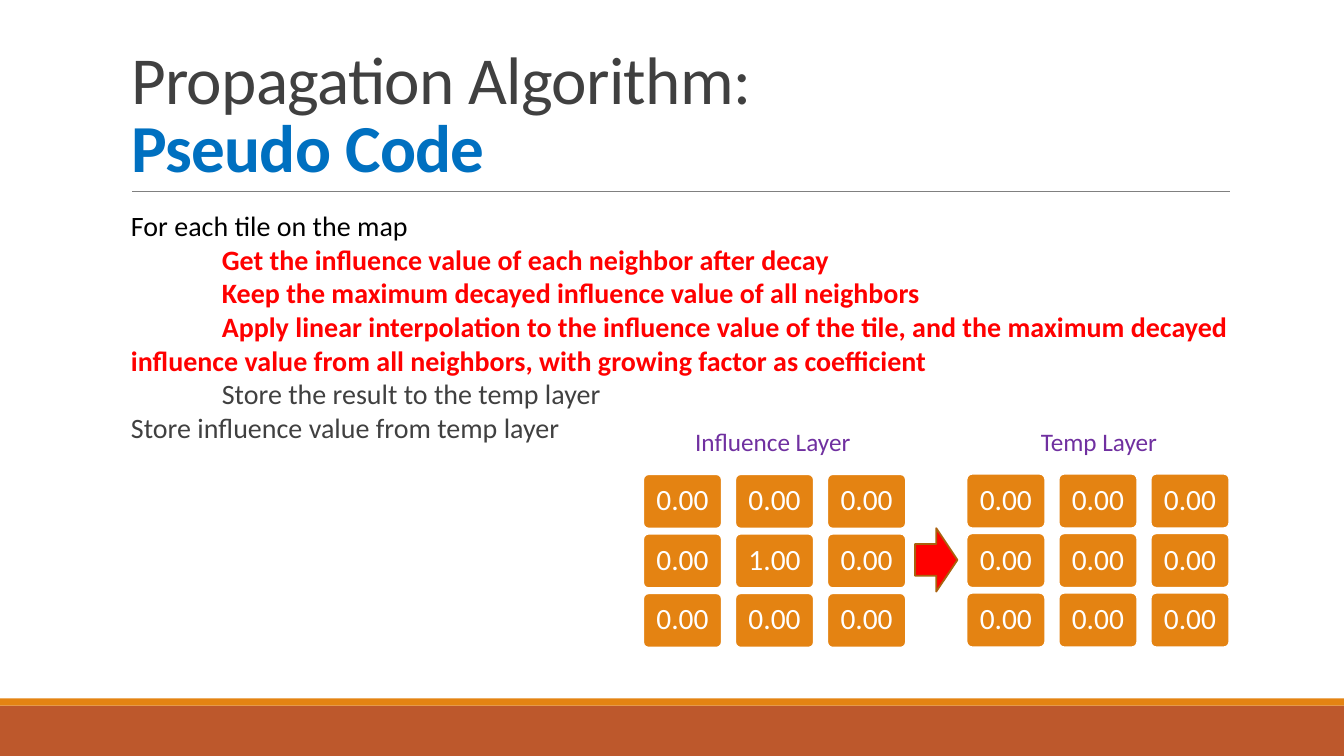
from lxml.etree import SubElement
from pptx import Presentation
from pptx.dml.color import RGBColor
from pptx.enum.shapes import MSO_CONNECTOR as Connector, MSO_SHAPE as Shape
from pptx.enum.text import MSO_ANCHOR as Anchor, MSO_AUTO_SIZE as AutoSize, PP_ALIGN as Align
from pptx.oxml.ns import qn
from pptx.util import Cm, Pt

COLORS = {
    "orange": "E48312",
    "rust": "BD582C",
    "brown": "A9610D",
    "gray": "808080",
    "dark": "404040",
    "black": "000000",
    "white": "FFFFFF",
    "blue": "0070C0",
    "red": "FF0000",
    "purple": "7030A0",
}


class SlideBuilder:
    font_name = "Calibri"

    def __init__(self, presentation):
        self.slide = presentation.slides.add_slide(presentation.slide_layouts[1])

    def color(self, name):
        return RGBColor.from_string(COLORS[name])

    def style(self, font, size, color, bold=False):
        font.name = self.font_name
        font.size = Pt(size)
        font.bold = bold
        font.color.rgb = self.color(color)

    def place(self, shape, left, top, width, height):
        shape.left, shape.top = Cm(left), Cm(top)
        shape.width, shape.height = Cm(width), Cm(height)

    def title(self, first_line, second_line, *box):
        shape = self.slide.shapes.title
        self.place(shape, *box)
        frame = shape.text_frame
        frame.auto_size = AutoSize.NONE
        frame.vertical_anchor = Anchor.BOTTOM
        paragraph = frame.paragraphs[0]
        paragraph.alignment = Align.LEFT
        paragraph.line_spacing = 0.85
        self.style(paragraph.font, 48, "dark")
        first = paragraph.add_run()
        first.text = first_line
        paragraph.add_line_break()
        second = paragraph.add_run()
        second.text = second_line
        self.style(first.font, 48, "dark")
        self.style(second.font, 48, "blue", True)
        for run in (first, second):
            run._r.get_or_add_rPr().set("spc", "-50")

    def body(self, lines, *box):
        shape = self.slide.placeholders[1]
        self.place(shape, *box)
        frame = shape.text_frame
        frame.auto_size = AutoSize.NONE
        frame.vertical_anchor = Anchor.TOP
        frame.margin_left = frame.margin_right = 0
        frame.margin_top = frame.margin_bottom = Cm(0.13)
        for index, (text, indent, color, bold) in enumerate(lines):
            paragraph = frame.paragraphs[0] if index == 0 else frame.add_paragraph()
            paragraph.text = text
            paragraph.alignment = Align.LEFT
            paragraph.line_spacing = Pt(24)
            paragraph.space_before = paragraph.space_after = Pt(0)
            properties = paragraph._p.get_or_add_pPr()
            properties.set("marL", str(Cm(0.25)))
            properties.set("indent", str(Cm(indent)))
            SubElement(properties, qn("a:buNone"))
            self.style(paragraph.font, 20, color, bold)

    def shape(self, kind, fill, line, *box):
        shape = self.slide.shapes.add_shape(kind, *map(Cm, box))
        shape.shadow.inherit = False
        shape.fill.solid()
        shape.fill.fore_color.rgb = self.color(fill)
        if line:
            shape.line.color.rgb = self.color(line)
            shape.line.width = Pt(1.25)
        else:
            shape.line.fill.background()
        return shape

    def rule(self, left, right, top):
        connector = self.slide.shapes.add_connector(
            Connector.STRAIGHT, Cm(left), Cm(top), Cm(right), Cm(top))
        connector.line.color.rgb = self.color("gray")
        connector.line.width = Pt(0.5)
        SubElement(connector._element.spPr, qn("a:effectLst"))

    def label(self, text, *box):
        frame = self.slide.shapes.add_textbox(*map(Cm, box)).text_frame
        frame.word_wrap = True
        paragraph = frame.paragraphs[0]
        paragraph.text = text
        self.style(paragraph.font, 18, "purple")

    def cell(self, text, *box):
        shape = self.shape(Shape.ROUNDED_RECTANGLE, "orange", "white", *box)
        shape.adjustments[0] = 0.1
        frame = shape.text_frame
        frame.word_wrap = False
        frame.vertical_anchor = Anchor.MIDDLE
        frame.margin_left = frame.margin_right = Cm(0.23)
        frame.margin_top = frame.margin_bottom = Cm(0.23)
        paragraph = frame.paragraphs[0]
        paragraph.text = text
        paragraph.alignment = Align.CENTER
        paragraph.line_spacing = 0.9
        self.style(paragraph.font, 21, "white")

    def layer(self, name, values, left, top):
        self.label(name, left + (17.27 - 16.21 if name[0] == "I" else 1.62), 10.62, 4.5, 1.02)
        for row, row_values in enumerate(values):
            for column, value in enumerate(row_values):
                self.cell(f"{value:.2f}", left + column * 2.32, top + row * 1.5, 1.98, 1.37)


def main():
    presentation = Presentation()
    presentation.slide_width, presentation.slide_height = Cm(33.87), Cm(19.05)
    builder = SlideBuilder(presentation)
    builder.shape(Shape.RECTANGLE, "rust", None, 0, 17.78, 33.87, 1.27)
    builder.shape(Shape.RECTANGLE, "orange", None, 0, 17.6, 33.87, 0.18)
    builder.rule(3.33, 30.99, 4.82)
    builder.title("Propagation Algorithm:", "Pseudo Code", 3.05, 0.79, 27.94, 4.04)
    builder.body([
        ("For each tile on the map", 0, "black", False),
        ("Get the influence value of each neighbor after decay", 2.29, "red", True),
        ("Keep the maximum decayed influence value of all neighbors", 2.29, "red", True),
        ("Apply linear interpolation to the influence value of the tile, and the maximum decayed "
         "influence value from all neighbors, with growing factor as coefficient", 2.29, "red", True),
        ("Store the result to the temp layer", 2.29, "dark", False),
        ("Store influence value from temp layer", 0, "dark", False),
    ], 3.05, 5.13, 29.34, 11.18)
    builder.layer("Influence Layer", [[0, 0, 0], [0, 1, 0], [0, 0, 0]], 16.21, 11.95)
    builder.layer("Temp Layer", [[0] * 3] * 3, 24.36, 11.94)
    builder.shape(Shape.RIGHT_ARROW, "red", "brown", 23.06, 13.31, 1.07, 1.6)
    presentation.save("out.pptx")


if __name__ == "__main__":
    main()
